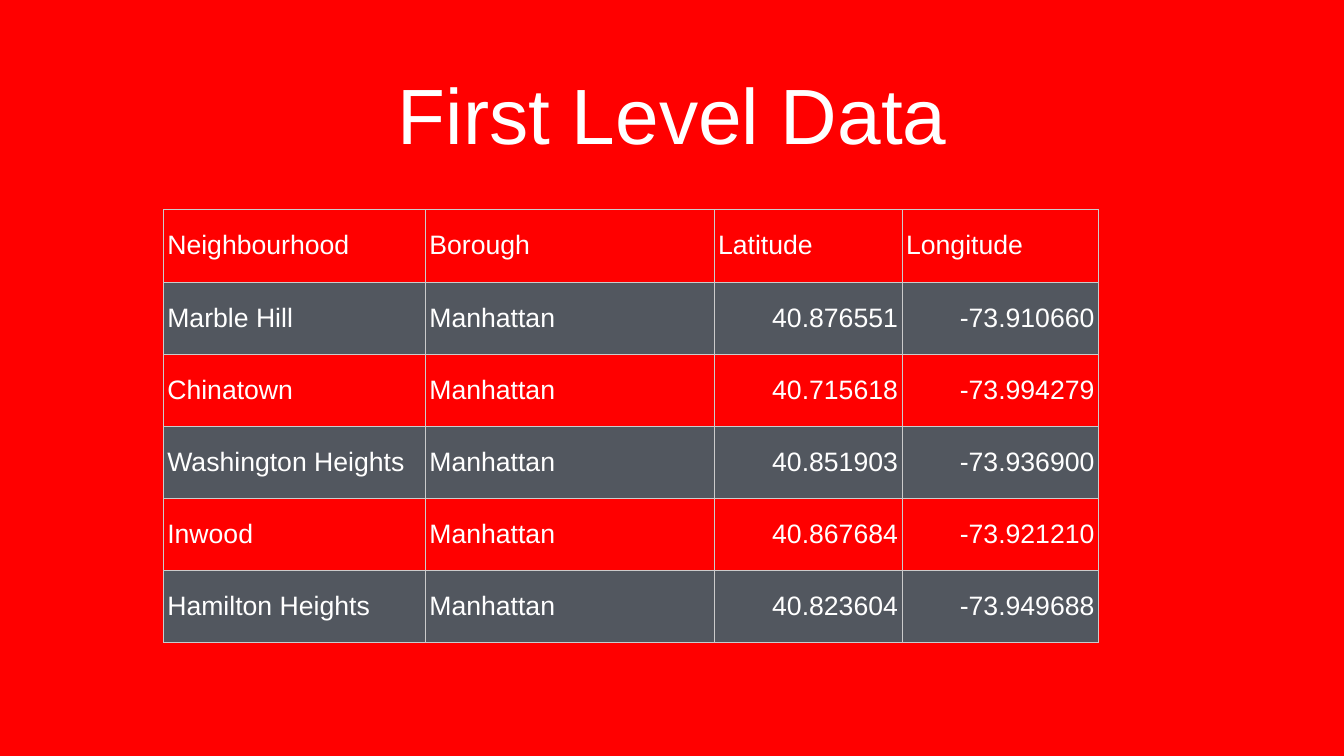
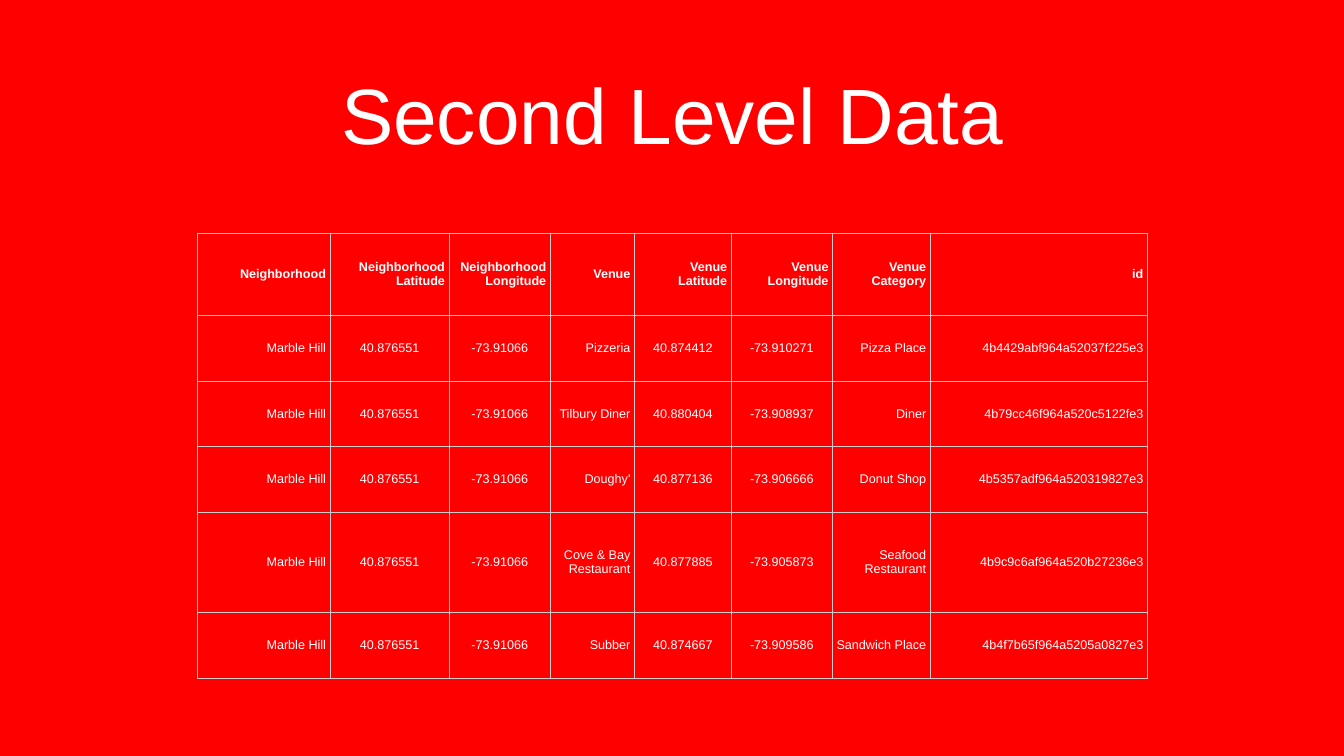
"""Build two slides, each with a centred title above a bordered data table."""
from lxml import etree
from pptx import Presentation
from pptx.dml.color import RGBColor
from pptx.enum.text import MSO_ANCHOR, PP_ALIGN
from pptx.oxml.ns import qn
from pptx.util import Inches, Pt

MIDDLE = MSO_ANCHOR.MIDDLE
ALIGN = {"l": PP_ALIGN.LEFT, "c": PP_ALIGN.CENTER, "r": PP_ALIGN.RIGHT}
COLORS = {"background": "FF0000", "text": "FFFFFF", "band": "52575F", "border": "CBCBCB"}
FONT = "Arial"
WIDTH, HEIGHT = Inches(26.67), Inches(15)
X, Y = WIDTH / 100, HEIGHT / 100

SLIDES = [
    {
        "title": "First Level Data",
        "left": 12.15, "top": 27.73,
        "cols": [19.5, 21.48, 13.99, 14.62],
        "rows": [9.55] * 6,
        "size": 38, "bold_header": False, "banded": True,
        "header_align": "llll", "body_align": "llrr",
        "data": [
            ["Neighbourhood", "Borough", "Latitude", "Longitude"],
            ["Marble Hill", "Manhattan", "40.876551", "-73.910660"],
            ["Chinatown", "Manhattan", "40.715618", "-73.994279"],
            ["Washington Heights", "Manhattan", "40.851903", "-73.936900"],
            ["Inwood", "Manhattan", "40.867684", "-73.921210"],
            ["Hamilton Heights", "Manhattan", "40.823604", "-73.949688"],
        ],
    },
    {
        "title": "Second Level Data",
        "left": 14.7, "top": 30.8,
        "cols": [9.86, 8.85, 7.54, 6.26, 7.2, 7.54, 7.27, 16.16],
        "rows": [10.93, 8.67, 8.67, 8.67, 13.27, 8.67],
        "size": 18, "bold_header": True, "banded": False,
        "header_align": "rrrrrrrr", "body_align": "rccrccrr",
        "data": [
            ["Neighborhood", "Neighborhood Latitude", "Neighborhood Longitude", "Venue",
             "Venue Latitude", "Venue Longitude", "Venue Category", "id"],
            ["Marble Hill", "40.876551", "-73.91066", "Pizzeria",
             "40.874412", "-73.910271", "Pizza Place", "4b4429abf964a52037f225e3"],
            ["Marble Hill", "40.876551", "-73.91066", "Tilbury Diner",
             "40.880404", "-73.908937", "Diner", "4b79cc46f964a520c5122fe3"],
            ["Marble Hill", "40.876551", "-73.91066", "Doughy'",
             "40.877136", "-73.906666", "Donut Shop", "4b5357adf964a520319827e3"],
            ["Marble Hill", "40.876551", "-73.91066", "Cove & Bay Restaurant",
             "40.877885", "-73.905873", "Seafood Restaurant", "4b9c9c6af964a520b27236e3"],
            ["Marble Hill", "40.876551", "-73.91066", "Subber",
             "40.874667", "-73.909586", "Sandwich Place", "4b4f7b65f964a5205a0827e3"],
        ],
    },
]


def write(tf, text, size, align, bold=False):
    p = tf.paragraphs[0]
    p.text = text
    p.alignment = ALIGN[align]
    p.font.name = FONT
    p.font.size = Pt(size)
    p.font.bold = bold
    p.font.color.rgb = RGBColor.from_string(COLORS["text"])


def add_borders(cell):
    tc_pr = cell._tc.get_or_add_tcPr()
    for side in ("a:lnL", "a:lnR", "a:lnT", "a:lnB"):
        ln = etree.SubElement(tc_pr, qn(side), w=str(Pt(1)))
        fill = etree.SubElement(ln, qn("a:solidFill"))
        etree.SubElement(fill, qn("a:srgbClr"), val=COLORS["border"])


prs = Presentation()
prs.slide_width, prs.slide_height = WIDTH, HEIGHT

for spec_data in SLIDES:
    s = prs.slides.add_slide(prs.slide_layouts[6])
    s.background.fill.solid()
    s.background.fill.fore_color.rgb = RGBColor.from_string(COLORS["background"])

    sp = s.shapes.add_textbox(int(7.35 * X), int(4.13 * Y), int(85.34 * X), int(21.73 * Y))
    tf = sp.text_frame
    tf.word_wrap = True
    tf.vertical_anchor = MIDDLE
    tf.margin_left = tf.margin_right = tf.margin_top = tf.margin_bottom = Inches(0.06)
    write(tf, spec_data["title"], 112, "c")

    cols, rows = spec_data["cols"], spec_data["rows"]
    table = s.shapes.add_table(
        len(rows), len(cols), int(spec_data["left"] * X), int(spec_data["top"] * Y),
        int(sum(cols) * X), int(sum(rows) * Y)).table
    table.first_row = table.horz_banding = False
    for column, share in zip(table.columns, cols):
        column.width = int(share * X)
    for row, share in zip(table.rows, rows):
        row.height = int(share * Y)

    for i, values in enumerate(spec_data["data"]):
        aligns = spec_data["body_align"] if i else spec_data["header_align"]
        for j, (value, align) in enumerate(zip(values, aligns)):
            cell = table.cell(i, j)
            cell.vertical_anchor = MIDDLE
            cell.margin_left = cell.margin_right = Inches(0.08)
            cell.margin_top = cell.margin_bottom = Inches(0.08)
            add_borders(cell)
            if spec_data["banded"] and i % 2:
                cell.fill.solid()
                cell.fill.fore_color.rgb = RGBColor.from_string(COLORS["band"])
            else:
                cell.fill.background()
            write(cell.text_frame, value, spec_data["size"], align,
                  spec_data["bold_header"] and i == 0)

prs.save("out.pptx")
